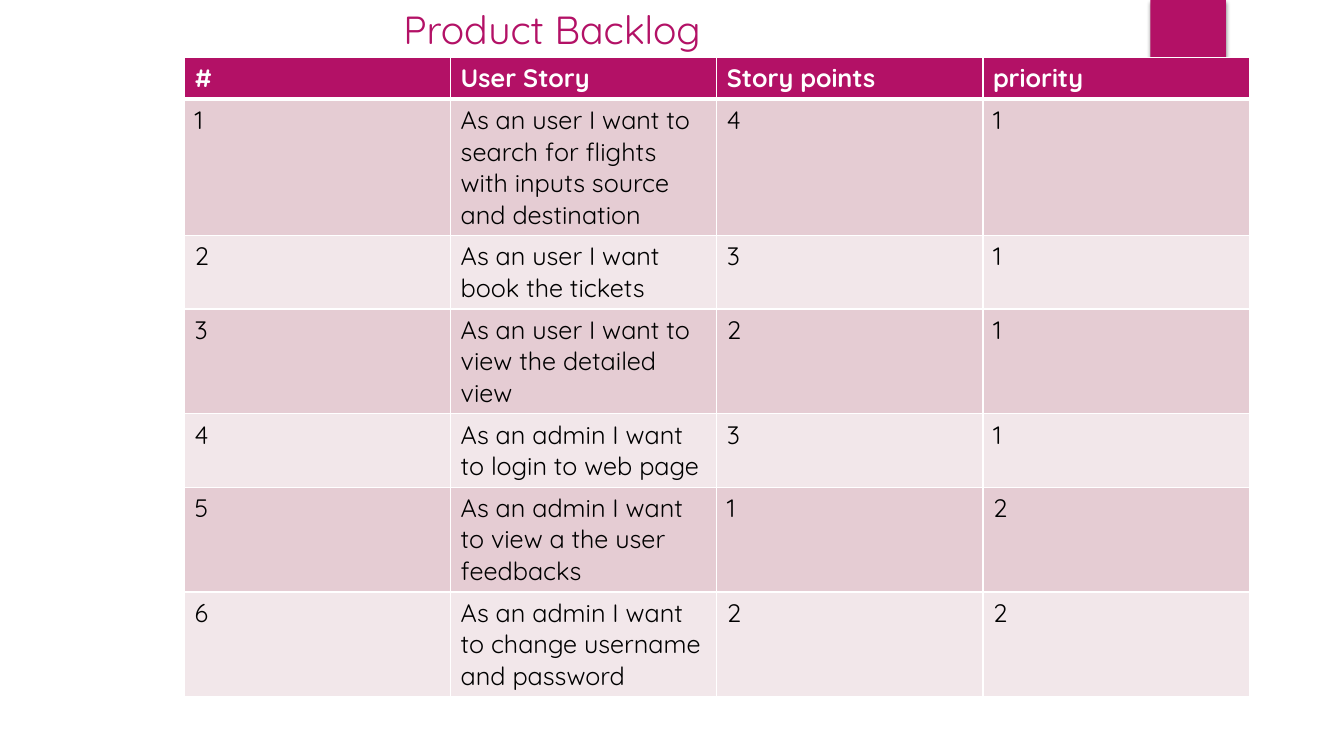
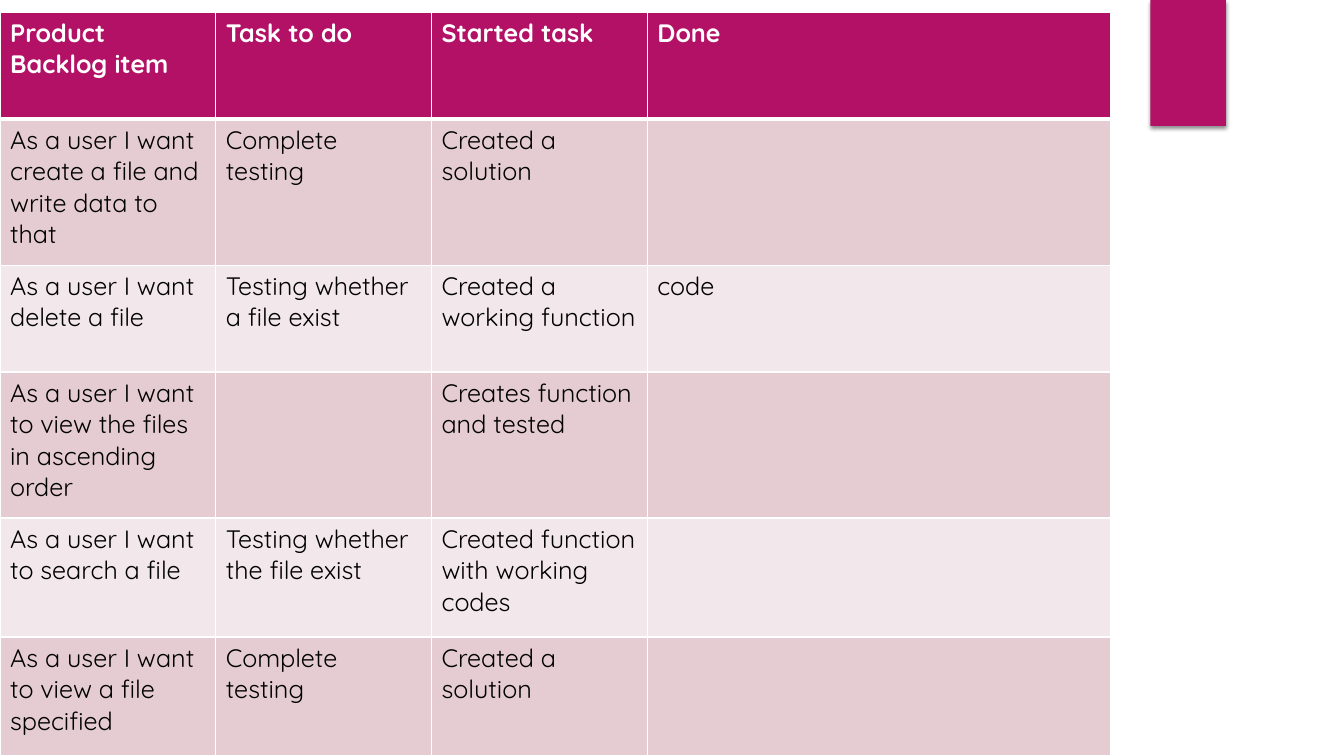
"""Build two slides of sprint planning tables with a shared accent style."""
from dataclasses import dataclass

from lxml import etree
from pptx import Presentation
from pptx import util as u
from pptx.dml.color import RGBColor
from pptx.enum import shapes, text
from pptx.oxml import parse_xml
from pptx.oxml.ns import nsdecls, qn

ACCENT, WHITE, BLACK = "B31166", "FFFFFF", "000000"
BANDS = ("E5CCD3", "F2E7EA")
FONT = "Quicksand"
HEADER_FORMAT = {"name": FONT, "size": u.Pt(18), "bold": True}
BODY_FORMAT = {**HEADER_FORMAT, "bold": False}
TITLE_FORMAT = {"name": FONT, "size": u.Pt(28), "bold": False}


@dataclass(frozen=True)
class Board:
    left: float
    top: float
    columns: tuple[float, ...]
    heights: tuple[float, ...]
    rows: tuple[tuple[str, ...], ...]
    title: str = ""


BACKLOG = Board(
    1.83, 0.57, (2.64,) * 4, (0.41,) * 7,
    (
        ("#", "User Story", "Story points", "priority"),
        ("1", "As an user I want to search for flights with inputs source and destination", "4", "1"),
        ("2", "As an user I want book the tickets", "3", "1"),
        ("3", "As an user I want to view the detailed view", "2", "1"),
        ("4", "As an admin I want to login to web page", "3", "1"),
        ("5", "As an admin I want to view a the user feedbacks", "1", "2"),
        ("6", "As an admin I want to change username and password", "2", "2"),
    ),
    "Product Backlog",
)
TASKS = Board(
    0, 0.12, (2.14, 2.14, 2.14, 4.6), (1.06, 1.45, 1.06, 1.45, 1.18, 1.18),
    (
        ("Product Backlog item", "Task to do", "Started task", "Done"),
        ("As a user I want create a file and write data to that", "Complete testing", "Created a solution", ""),
        ("As a user I want delete a file", "Testing whether a file exist", "Created a working function", "code"),
        ("As a user I want to view the files in ascending order", "", "Creates function and tested", ""),
        ("As a user I want to search a file", "Testing whether the file exist",
         "Created function with working codes", ""),
        ("As a user I want to view a file specified", "Complete testing", "Created a solution", ""),
    ),
)


def rgb(value: str) -> RGBColor:
    """Turn a hex string into a colour."""
    return RGBColor.from_string(value)


def write(paragraph, words: str, formats: dict, colour: str) -> None:
    """Put formatted words into a paragraph."""
    font = paragraph.font
    if words:
        run = paragraph.add_run()
        run.text = words
        font = run.font
    for attribute, value in formats.items():
        setattr(font, attribute, value)
    font.color.rgb = rgb(colour)


def add_bookmark(slide) -> None:
    """Draw the accent tab with its soft shadow."""
    tab = slide.shapes.add_shape(
        shapes.MSO_SHAPE.RECTANGLE, u.Inches(11.41), 0, u.Inches(0.75), u.Inches(1.25))
    tab.fill.solid()
    tab.fill.fore_color.rgb = rgb(ACCENT)
    tab.line.fill.background()
    tab.shadow.inherit = False
    effects = tab._element.spPr.find(qn("a:effectLst"))
    effects.append(parse_xml(
        f'<a:outerShdw {nsdecls("a")} blurRad="{u.Pt(3)}" dist="{u.Pt(2)}" dir="5400000" rotWithShape="0">'
        f'<a:srgbClr val="{BLACK}"><a:alpha val="45000"/></a:srgbClr></a:outerShdw>'))


def add_title(slide, words: str) -> None:
    """Centre the slide title above its table."""
    box = slide.shapes.add_textbox(u.Inches(2.8), 0, u.Inches(5.35), u.Inches(0.57))
    frame = box.text_frame
    frame.word_wrap = True
    frame.auto_size = text.MSO_AUTO_SIZE.SHAPE_TO_FIT_TEXT
    heading = frame.paragraphs[0]
    heading.alignment = text.PP_ALIGN.CENTER
    write(heading, words, TITLE_FORMAT, ACCENT)


def add_borders(cell, top: float, bottom: float) -> None:
    """Draw white cell borders of the given weights in points."""
    properties = cell._tc.get_or_add_tcPr()
    weights = {"lnL": 1, "lnR": 1, "lnT": top, "lnB": bottom}
    for position, (side, weight) in enumerate(weights.items()):
        border = etree.Element(qn(f"a:{side}"), w=str(u.Pt(weight)))
        fill = etree.SubElement(border, qn("a:solidFill"))
        etree.SubElement(fill, qn("a:srgbClr"), val=WHITE)
        properties.insert(position, border)


def add_board(slide, board: Board) -> None:
    """Build the table with a header and alternating bands."""
    table = slide.shapes.add_table(
        len(board.rows), len(board.columns), u.Inches(board.left), u.Inches(board.top),
        u.Inches(sum(board.columns)), u.Inches(sum(board.heights))).table
    table.horz_banding = False
    for column, width in zip(table.columns, board.columns):
        column.width = u.Inches(width)
    for index, (row, height, entries) in enumerate(zip(table.rows, board.heights, board.rows)):
        row.height = u.Inches(height)
        header = index == 0
        for cell, words in zip(row.cells, entries):
            cell.fill.solid()
            cell.fill.fore_color.rgb = rgb(ACCENT if header else BANDS[(index - 1) % 2])
            add_borders(cell, top=3 if index == 1 else 1, bottom=3 if header else 1)
            write(cell.text_frame.paragraphs[0], words,
                  HEADER_FORMAT if header else BODY_FORMAT, WHITE if header else BLACK)


def main() -> None:
    """Create and save the presentation."""
    deck = Presentation()
    deck.slide_width, deck.slide_height = u.Inches(13.33), u.Inches(7.5)
    for board in (BACKLOG, TASKS):
        slide = deck.slides.add_slide(deck.slide_layouts[6])
        add_bookmark(slide)
        add_board(slide, board)
        if board.title:
            add_title(slide, board.title)
    deck.save("out.pptx")


if __name__ == "__main__":
    main()
